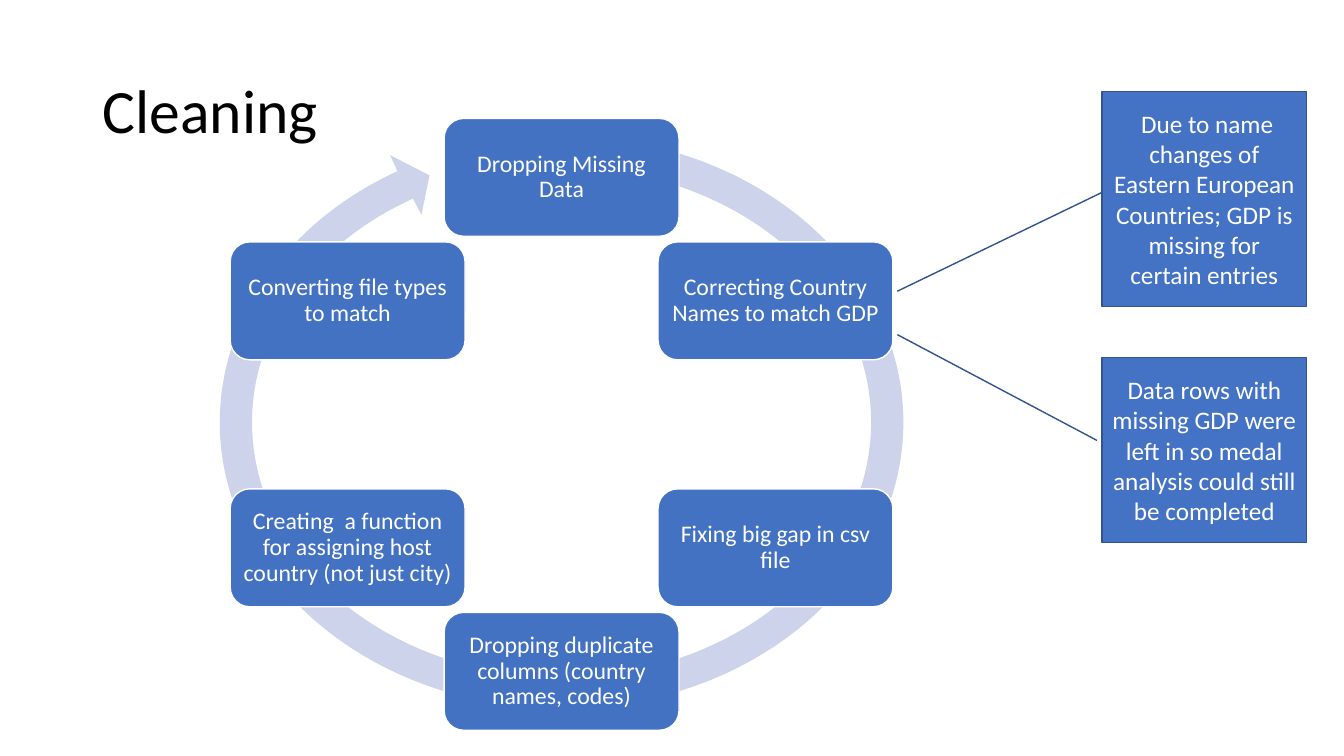
from math import cos, radians, sin, tan

from lxml.etree import SubElement
from pptx import Presentation
from pptx.dml.color import RGBColor
from pptx.enum.shapes import MSO_SHAPE
from pptx.enum.text import MSO_ANCHOR, MSO_AUTO_SIZE, PP_ALIGN
from pptx.oxml.ns import qn
from pptx.util import Inches, Pt

HEADING = "Cleaning"
STEPS = [
    "Dropping Missing Data",
    "Correcting Country Names to match GDP",
    "Fixing big gap in csv file",
    "Dropping duplicate columns (country names, codes)",
    "Creating  a function for assigning host country (not just city)",
    "Converting file types to match",
]
REMARKS = [
    {"text": " Due to name changes of Eastern European Countries; GDP is missing for certain entries",
     "top": 0.91, "height": 2.13, "start": (10.93, 1.91), "end": (8.9, 2.89)},
    {"text": "Data rows with missing GDP were left in so medal analysis could still be completed",
     "top": 3.55, "height": 1.83, "start": (10.88, 4.37), "end": (8.9, 3.32)},
]
COLORS = {"step": "4372C3", "remark": "4472C4", "remark_line": "31538F",
          "ring": "CCD3EA", "white": "FFFFFF", "black": "000000"}
FONT = "Calibri"

CENTER_X = 5.57
STEP_CENTER_Y, STEP_RADIUS = 4.21, 2.45
STEP_WIDTH, STEP_HEIGHT = 2.33, 1.17
RING_CENTER_Y = 4.19
RING_OUTER, RING_INNER = (3.39, 2.84), (3.07, 2.53)
RING_START, RING_END, RING_ARCS = 13.2, 331.3, 4
ARROWHEAD = [(3.87, 1.54), (4.26, 1.74), (4.18, 2.13)]
REMARK_LEFT, REMARK_WIDTH = 10.93, 2.03


def write(shape, text, size, color="white", align=PP_ALIGN.CENTER, spacing=1.0, inset=(0.1, 0.05)):
    frame = shape.text_frame
    frame.word_wrap = True
    frame.auto_size = MSO_AUTO_SIZE.NONE
    frame.vertical_anchor = MSO_ANCHOR.MIDDLE
    frame.margin_left = frame.margin_right = Inches(inset[0])
    frame.margin_top = frame.margin_bottom = Inches(inset[1])
    paragraph = frame.paragraphs[0]
    paragraph.alignment = align
    paragraph.line_spacing = spacing
    run = paragraph.add_run()
    run.text = text
    run.font.name = FONT
    run.font.size = Pt(size)
    run.font.color.rgb = RGBColor.from_string(COLORS[color])


def paint(shape, fill, line=None):
    shape.shadow.inherit = False
    shape.fill.solid()
    shape.fill.fore_color.rgb = RGBColor.from_string(COLORS[fill])
    if line:
        shape.line.color.rgb = RGBColor.from_string(COLORS[line])
        shape.line.width = Pt(1)
    else:
        shape.line.fill.background()


def around(center_y, radii, degrees, pull=0):
    angle = radians(degrees)
    across, up = sin(angle) + pull * cos(angle), cos(angle) - pull * sin(angle)
    return CENTER_X + radii[0] * across, center_y - radii[1] * up


def arc_points(radii, begin, finish):
    turn = (finish - begin) / RING_ARCS
    pull = 4 / 3 * tan(radians(turn) / 4)
    points = [around(RING_CENTER_Y, radii, begin)]
    for arc in range(RING_ARCS):
        angle = begin + turn * arc
        points += [around(RING_CENTER_Y, radii, angle, pull),
                   around(RING_CENTER_Y, radii, angle + turn, -pull),
                   around(RING_CENTER_Y, radii, angle + turn)]
    return points


def bend(segments):
    for first, second, third in zip(segments[::3], segments[1::3], segments[2::3]):
        curve = SubElement(first.getparent(), qn("a:cubicBezTo"))
        first.addprevious(curve)
        for segment in (first, second, third):
            curve.append(segment[0])
            segment.getparent().remove(segment)


def add_ring(slide):
    outer = arc_points(RING_OUTER, RING_START, RING_END)
    inner = arc_points(RING_INNER, RING_END, RING_START)
    outline = [(Inches(x), Inches(y)) for x, y in outer + ARROWHEAD + inner]
    builder = slide.shapes.build_freeform(*outline[0])
    builder.add_line_segments(outline[1:], close=True)
    ring = builder.convert_to_shape()
    segments = list(ring._element.iter(qn("a:lnTo")))
    curved = 3 * RING_ARCS
    bend(segments[:curved])
    bend(segments[-curved:])
    paint(ring, "ring")


def add_steps(slide):
    for index, text in enumerate(STEPS):
        x, y = around(STEP_CENTER_Y, (STEP_RADIUS, STEP_RADIUS), index * 360 / len(STEPS))
        step = slide.shapes.add_shape(
            MSO_SHAPE.ROUNDED_RECTANGLE, Inches(x - STEP_WIDTH / 2), Inches(y - STEP_HEIGHT / 2),
            Inches(STEP_WIDTH), Inches(STEP_HEIGHT))
        paint(step, "step", "white")
        write(step, text, 17, spacing=0.9, inset=(0.07, 0.07))


def add_remarks(slide):
    for item in REMARKS:
        remark = slide.shapes.add_shape(
            MSO_SHAPE.LINE_CALLOUT_1, Inches(REMARK_LEFT), Inches(item["top"]),
            Inches(REMARK_WIDTH), Inches(item["height"]))
        for index, (x, y) in enumerate((item["start"], item["end"])):
            remark.adjustments[2 * index] = (y - item["top"]) / item["height"]
            remark.adjustments[2 * index + 1] = (x - REMARK_LEFT) / REMARK_WIDTH
        paint(remark, "remark", "remark_line")
        write(remark, item["text"], 18)


def main():
    deck = Presentation()
    deck.slide_width, deck.slide_height = Inches(13.33), Inches(7.5)
    slide = deck.slides.add_slide(deck.slide_layouts[5])
    heading = slide.shapes.title
    heading.left, heading.top = Inches(0.92), Inches(0.4)
    heading.width, heading.height = Inches(11.5), Inches(1.45)
    write(heading, HEADING, 44, color="black", align=PP_ALIGN.LEFT, spacing=0.9)
    add_ring(slide)
    add_steps(slide)
    add_remarks(slide)
    deck.save("out.pptx")


if __name__ == "__main__":
    main()
